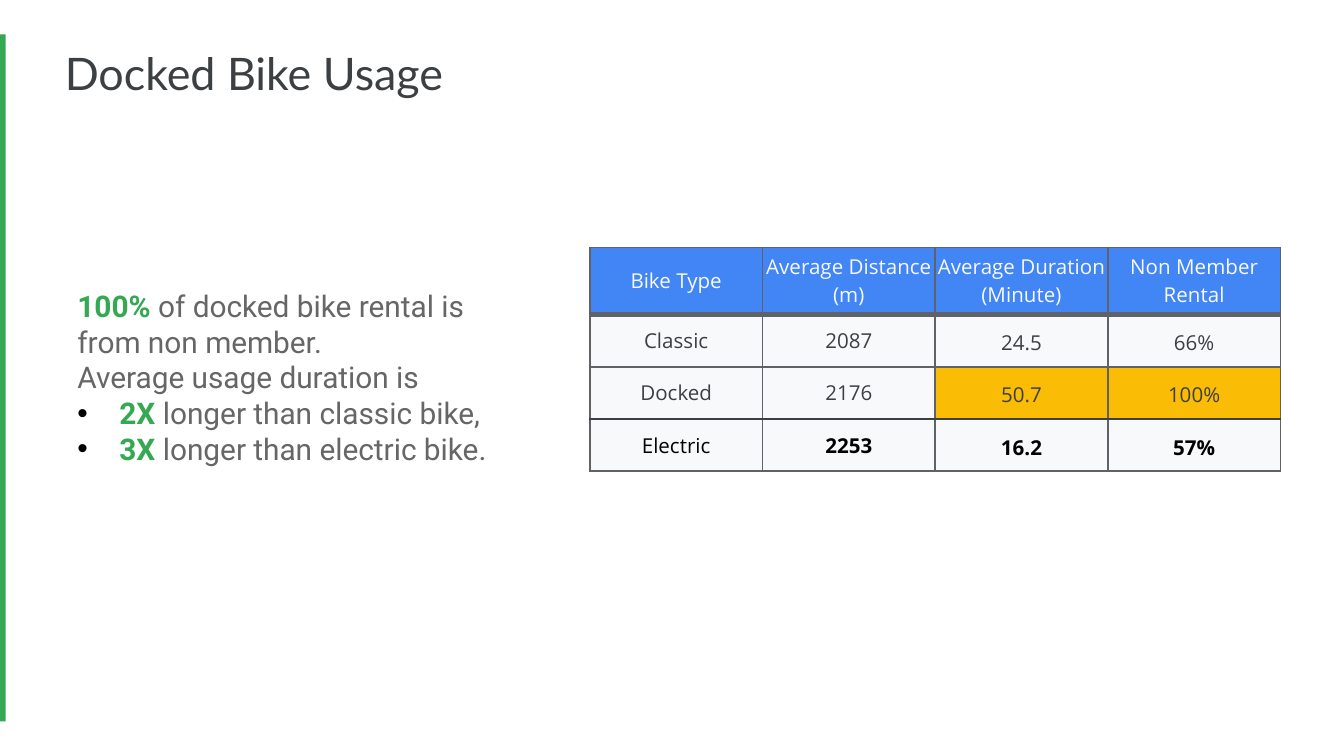
from lxml.etree import SubElement
from pptx import Presentation
from pptx.dml.color import RGBColor
from pptx.enum.shapes import MSO_SHAPE
from pptx.enum.text import MSO_ANCHOR, PP_ALIGN
from pptx.oxml import parse_xml
from pptx.oxml.ns import nsdecls, qn
from pptx.util import Pt

PX = 6350
GREEN, GREY, DARK, LIGHT = "34A853", "666666", "3C4043", "F8F9FA"
BLUE, YELLOW, BORDER, BLACK = "4285F4", "FBBC05", "5F6368", "000000"


def color(value):
    return RGBColor.from_string(value)


def add_text(paragraph, text, font="Open Sans", size=11, fill=DARK, bold=False):
    run = paragraph.add_run()
    run.text = text
    run.font.name = font
    run.font.size = Pt(size)
    run.font.color.rgb = color(fill)
    run.font.bold = bold


presentation = Presentation()
presentation.slide_width = 1440 * PX
presentation.slide_height = 810 * PX
slide = presentation.slides.add_slide(presentation.slide_layouts[5])

bar = slide.shapes.add_shape(MSO_SHAPE.RECTANGLE, -3 * PX, 37 * PX, 9 * PX, 736 * PX)
bar.shadow.inherit = False
bar.fill.solid()
bar.fill.fore_color.rgb = color(GREEN)
bar.line.fill.background()

title = slide.shapes.title
title.left, title.top, title.width, title.height = 55 * PX, 42 * PX, 1228 * PX, 65 * PX
title.text_frame.vertical_anchor = MSO_ANCHOR.TOP
title.text_frame.margin_top = 7 * PX
title.text_frame.paragraphs[0].alignment = PP_ALIGN.LEFT
add_text(title.text_frame.paragraphs[0], "Docked Bike Usage", font="Lato", size=24)

findings = slide.shapes.add_textbox(69 * PX, 294 * PX, 477 * PX, 223 * PX)
frame = findings.text_frame
frame.word_wrap = True
frame.margin_left = frame.margin_top = frame.margin_right = frame.margin_bottom = 14 * PX
lines = [
    ("100%", " of docked bike rental is from non member.", False),
    ("", "Average usage duration is", False),
    ("2X", " longer than classic bike,", True),
    ("3X", " longer than electric bike.", True),
]
for index, (figure, statement, bulleted) in enumerate(lines):
    paragraph = frame.add_paragraph() if index else frame.paragraphs[0]
    if figure:
        add_text(paragraph, figure, font="Roboto", size=16, fill=GREEN, bold=True)
    add_text(paragraph, statement, font="Roboto", size=16, fill=GREY)
    if bulleted:
        properties = paragraph._p.get_or_add_pPr()
        properties.set("marL", str(45 * PX))
        properties.set("indent", str(-45 * PX))
        bullet_color = SubElement(properties, qn("a:buClr"))
        SubElement(bullet_color, qn("a:srgbClr"), val=BLACK)
        SubElement(properties, qn("a:buFont"), typeface="Arial")
        SubElement(properties, qn("a:buChar"), char="•")

rows = [
    ["Bike Type", "Average Distance (m)", "Average Duration (Minute)", "Non Member Rental"],
    ["Classic", "2087", "24.5", "66%"],
    ["Docked", "2176", "50.7", "100%"],
    ["Electric", "2253", "16.2", "57%"],
]
row_heights = [72, 56, 56, 56]
text_colors = [LIGHT, DARK, DARK, BLACK]
row_edges = [(BORDER, 1), (BORDER, 3), (BORDER, 1), (DARK, 0.75), (BORDER, 1)]
table = slide.shapes.add_table(4, 4, 632 * PX, 265 * PX, 740 * PX, 240 * PX).table
for column in table.columns:
    column.width = 185 * PX
for row_index, values in enumerate(rows):
    table.rows[row_index].height = row_heights[row_index] * PX
    for column_index, value in enumerate(values):
        cell = table.cell(row_index, column_index)
        measured = row_index > 0 and column_index > 1
        margin = (1 if measured else 2) * PX
        cell.margin_left = cell.margin_top = cell.margin_right = cell.margin_bottom = margin
        cell.vertical_anchor = MSO_ANCHOR.MIDDLE
        background = BLUE if row_index == 0 else YELLOW if measured and row_index == 2 else LIGHT
        cell.fill.solid()
        cell.fill.fore_color.rgb = color(background)
        paragraph = cell.text_frame.paragraphs[0]
        paragraph.alignment = PP_ALIGN.CENTER
        if measured:
            paragraph.line_spacing = 1.15
        add_text(paragraph, value, fill=text_colors[row_index],
                 bold=row_index == 3 and column_index > 0)
        edges = {"lnL": (BORDER, 1), "lnR": (BORDER, 1),
                 "lnT": row_edges[row_index], "lnB": row_edges[row_index + 1]}
        for position, (edge, (edge_color, width)) in enumerate(edges.items()):
            border = parse_xml(
                f'<a:{edge} {nsdecls("a")} w="{Pt(width)}"><a:solidFill>'
                f'<a:srgbClr val="{edge_color}"/></a:solidFill></a:{edge}>')
            cell._tc.get_or_add_tcPr().insert(position, border)

presentation.save("out.pptx")
